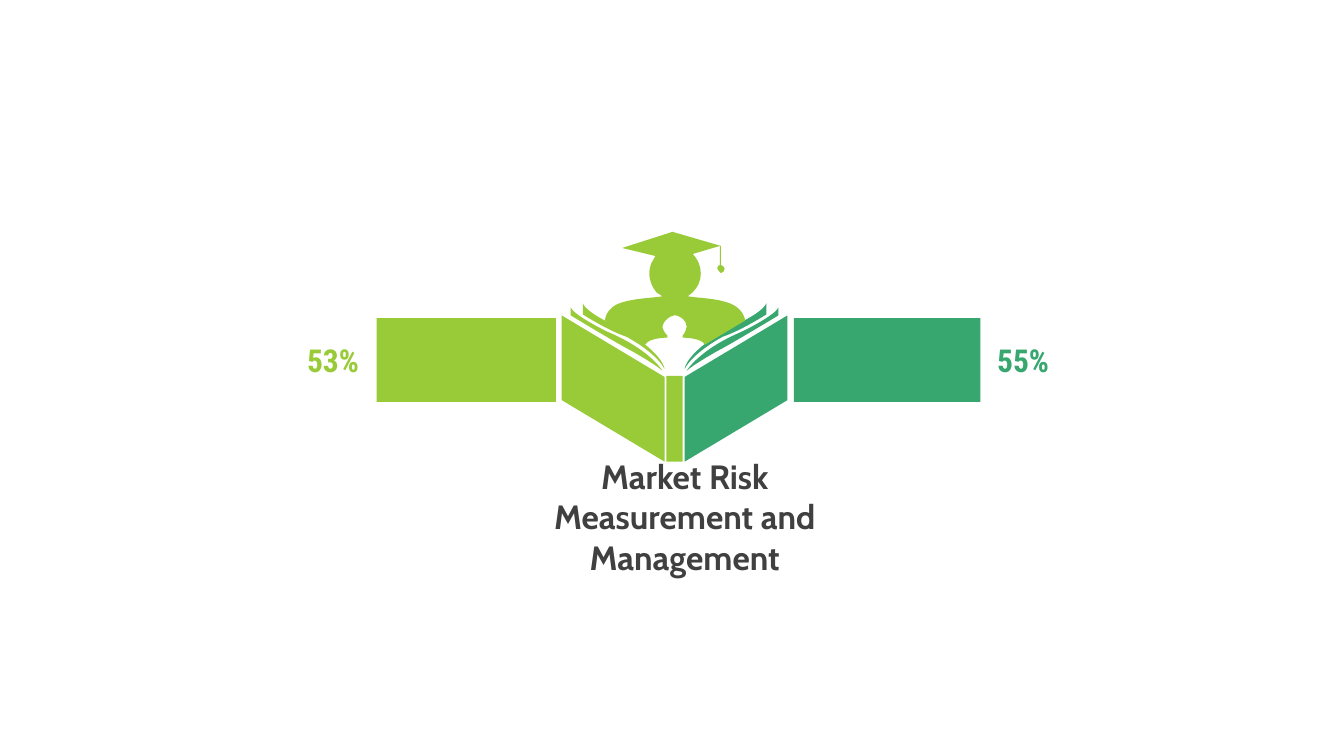
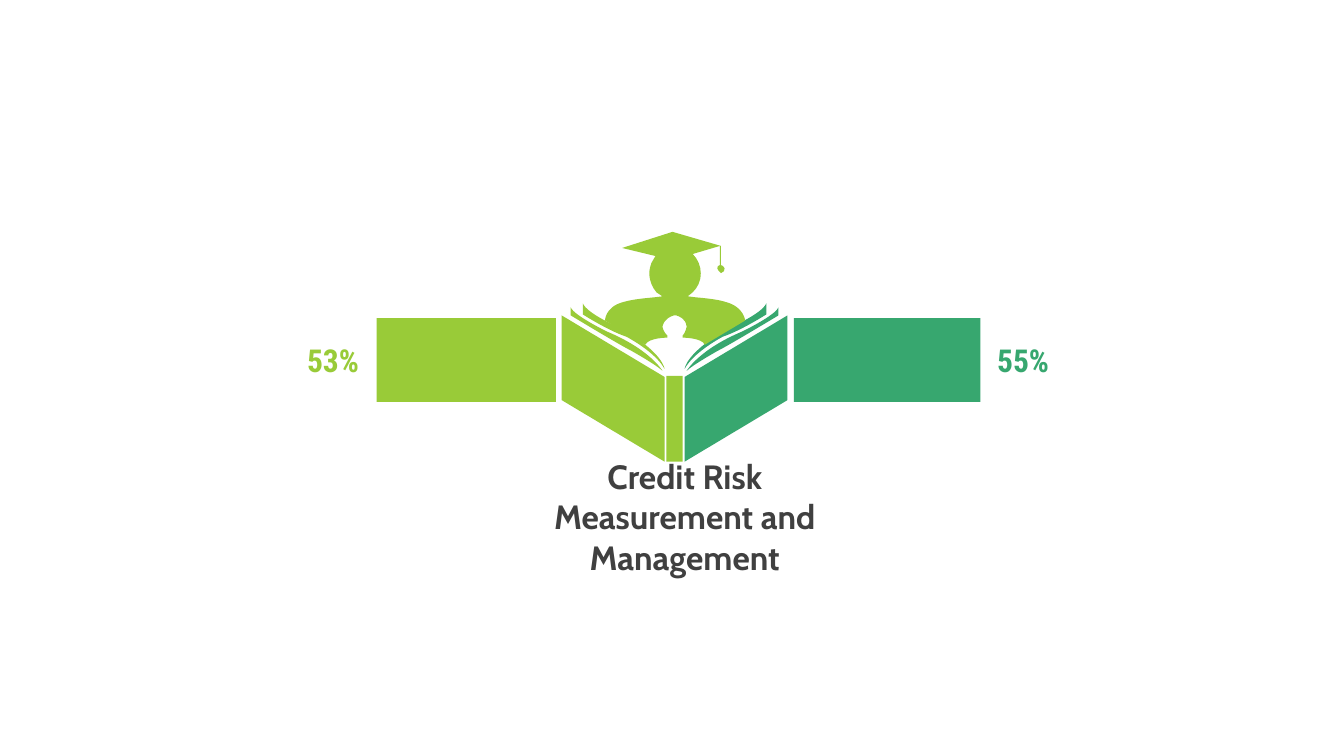
"""Build two risk slides, each with a student behind an open book and two shares."""
from lxml import etree
from pptx import Presentation
from pptx.dml.color import RGBColor as Rgb
from pptx.enum.shapes import MSO_SHAPE as Kind
from pptx.enum.text import MSO_ANCHOR as Anchor, MSO_AUTO_SIZE as Fit, PP_ALIGN as Align
from pptx.oxml.ns import qn
from pptx.util import Cm, Pt

HUES = {"lime": "99CB38", "green": "37A76F", "text": "404040"}
TITLES = ["Market Risk Measurement and Management", "Credit Risk Measurement and Management"]
MID = Cm(17)
UNIT = Cm(2.54) / 100
BARS = [
    ("lime", 9.49, 4.52, 7.62, "53%"),
    ("green", 20.01, 4.7, 25.01, "55%"),
]

COVER = [(-112, 313), (-10, 374), (-10, 458), (-112, 397)]
FRONT = [
    (-103, 305), (-100, 313, -67, 329, -67, 329), (-24, 347, -12, 368, -12, 368),
    (-18, 362, -43, 348, -43, 348), (-55, 342, -103, 313, -103, 313),
]
BACK = [
    (-91, 301), (-87, 311, -57, 324, -57, 324), (-11, 349, -10, 366, -10, 366),
    (-19, 349, -48, 334, -48, 334), (-66, 328, -91, 312, -91, 312),
]
SPINE = [(-8, 373), (8, 373), (8, 458), (-8, 458)]
PUPIL = [
    (-2, 230), (46, 244), (46, 263), (48, 264), (50, 265, 50, 267, 49, 269),
    (46, 271), (44, 269), (42, 268, 42, 265, 43, 264), (45, 263), (45, 244),
    (18, 252), (23, 257, 26, 264, 26, 271), (26, 279, 23, 285, 18, 290),
    (13, 294), (21, 295), (32, 296, 43, 297, 52, 300), (69, 305, 70, 318, 70, 318),
    (30, 342), (27, 335, 8, 335, 8, 335), (8, 333), (11, 330, 12, 324, 12, 324),
    (11, 316, 5, 314, 2, 313), (-1, 313), (-4, 314, -10, 316, -12, 324),
    (-12, 324, -11, 330, -7, 333), (-7, 335), (-7, 335, -26, 335, -29, 342),
    (-69, 318), (-69, 318, -69, 305, -52, 300), (-42, 297, -31, 296, -20, 295),
    (-12, 294), (-18, 290), (-22, 285, -25, 279, -25, 271),
    (-25, 267, -24, 264, -23, 261), (-19, 254), (-52, 246),
]
HALF = [COVER, FRONT, BACK]
ART = [(HALF, 1, "lime"), (HALF, -1, "green"), ([SPINE, PUPIL], 1, "lime")]


def draw(shapes, outlines, side):
    pen = None
    for outline in outlines:
        spots = [(side * x, y) for part in outline for x, y in zip(part[::2], part[1::2])]
        if pen is None:
            pen = shapes.build_freeform(*spots[0], scale=UNIT)
        else:
            pen.move_to(*spots[0])
        pen.add_line_segments(spots[1:], close=True)
    shape = pen.convert_to_shape(MID, Cm(0))
    lines = iter(list(shape.element.iter(qn("a:lnTo"))))
    for part in [part for outline in outlines for part in outline[1:]]:
        group = [next(lines) for _ in part[::2]]
        if len(group) == 3:
            curve = etree.Element(qn("a:cubicBezTo"))
            group[0].addprevious(curve)
            for line in group:
                curve.append(line[0])
                line.getparent().remove(line)
    return shape


def paint(shape, hue):
    shape.shadow.inherit = False
    shape.fill.solid()
    shape.fill.fore_color.rgb = Rgb.from_string(HUES[hue])
    shape.line.fill.background()


deck = Presentation()
deck.slide_width, deck.slide_height = Cm(33.87), Cm(19.05)

for name in TITLES:
    slide = deck.slides.add_slide(deck.slide_layouts[5])
    shapes = slide.shapes
    for outlines, side, hue in ART:
        paint(draw(shapes, outlines, side), hue)

    title = shapes.title
    title.left, title.top, title.width, title.height = Cm(12.48), Cm(12.48), Cm(9.55), Cm(1.07)
    labels = [(title, name, "Cabin", 24, "text")]
    for hue, left, width, edge, share in BARS:
        bar = shapes.add_shape(Kind.RECTANGLE, Cm(left), Cm(8.02), Cm(width), Cm(2.11))
        paint(bar, hue)
        box = shapes.add_textbox(Cm(edge), Cm(8.57), Cm(1.55), Cm(0.99))
        frame = box.text_frame
        frame.margin_left = frame.margin_right = frame.margin_top = frame.margin_bottom = 0
        labels.append((box, share, "Roboto Condensed", 22.5, hue))

    for box, words, face, size, hue in labels:
        frame = box.text_frame
        frame.text = words
        frame.word_wrap = True
        frame.auto_size = Fit.NONE
        frame.vertical_anchor = Anchor.MIDDLE
        para = frame.paragraphs[0]
        para.alignment = Align.CENTER
        font = para.font
        font.name, font.size, font.bold = face, Pt(size), True
        font.color.rgb = Rgb.from_string(HUES[hue])

deck.save("out.pptx")
